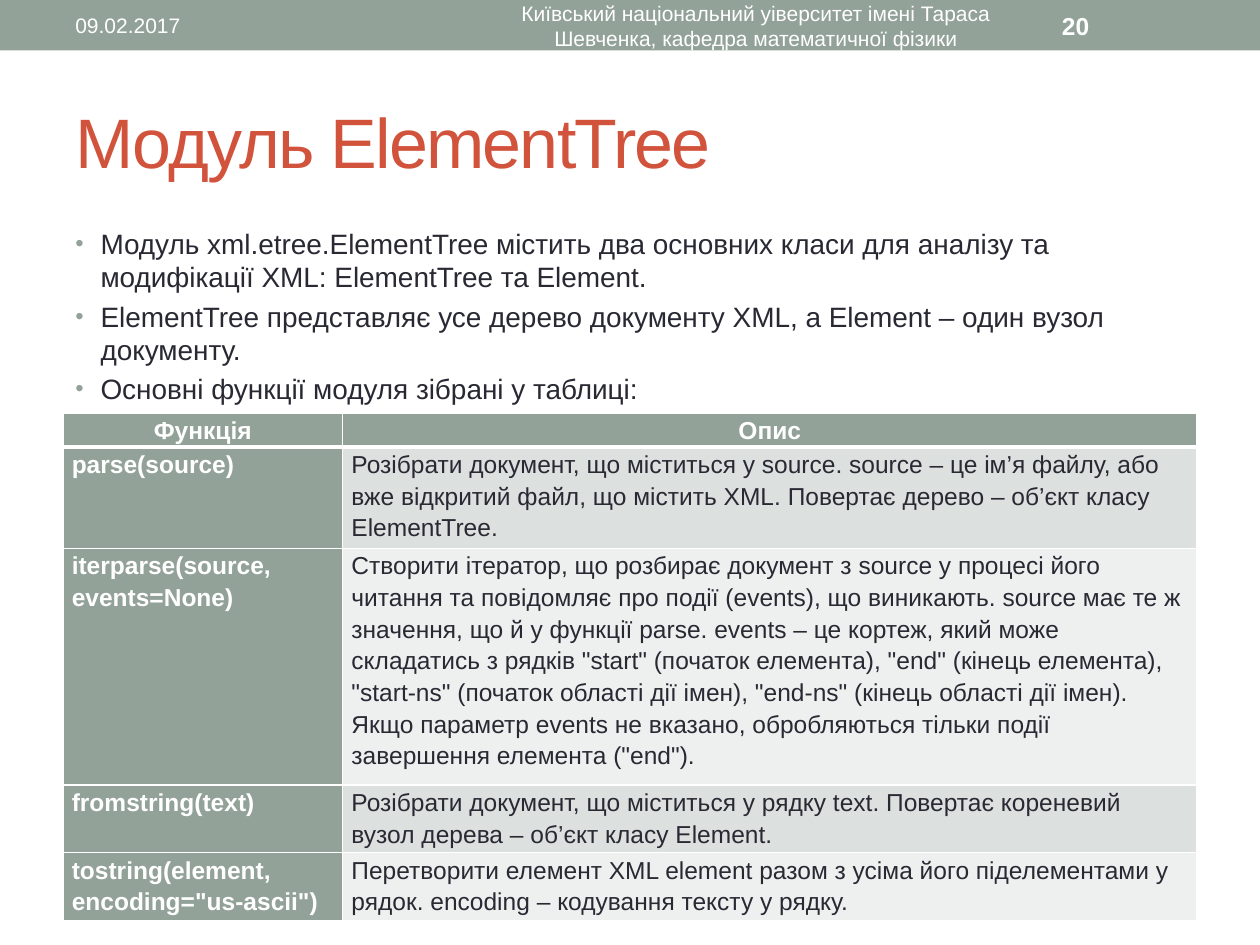
from dataclasses import dataclass

from lxml import etree
from pptx import Presentation
from pptx import util as u
from pptx.dml.color import RGBColor
from pptx.enum import shapes, text
from pptx.oxml.ns import qn

SAGE = RGBColor(0x93, 0xA2, 0x99)
RUST = RGBColor(0xD2, 0x53, 0x3C)
INK = RGBColor(0x29, 0x29, 0x34)
WHITE = RGBColor(0xFF, 0xFF, 0xFF)
BANDS = RGBColor(0xDC, 0xE0, 0xDE), RGBColor(0xEE, 0xF0, 0xEF)
FONT = "Arial"
WIDTH, HEIGHT = u.Inches(10), u.Inches(7.5)
MARGIN = 0.05  # share of the slide width
LEFT, CENTER = text.PP_ALIGN.LEFT, text.PP_ALIGN.CENTER


@dataclass
class Label:
    """A text line; left and width are shares of the slide width, top and height of its height."""
    words: str
    left: float
    top: float
    width: float
    height: float
    size: float
    color: RGBColor = WHITE
    bold: bool = False
    align: text.PP_ALIGN = LEFT
    tracking: int = 0  # hundredths of a point


@dataclass
class Function:
    signature: str
    description: str
    height: float  # inches


BAR_TOP, BAR_TEXT = 0.003, 0.048
LABELS = [
    Label("Модуль ElementTree", MARGIN, 0.077, 0.9, 0.144, 40, RUST, tracking=-100),
    Label("09.02.2017", MARGIN, BAR_TOP, 0.317, BAR_TEXT, 12),
    Label("Київський національний уіверситет імені Тараса Шевченка, "
          "кафедра математичної фізики",
          0.375, BAR_TOP, 0.45, BAR_TEXT, 12, align=CENTER),
    Label("20", 0.833, BAR_TOP, 0.117, BAR_TEXT, 14, bold=True),
]
BULLETS = [
    "Модуль xml.etree.ElementTree містить два основних класи для аналізу та "
    "модифікації XML: ElementTree та Element.",
    "ElementTree представляє усе дерево документу XML, а Element – один вузол документу.",
    "Основні функції модуля зібрані у таблиці:",
]
HEADER = Function("Функція", "Опис", 0.25)
FUNCTIONS = [
    Function("parse(source)",
             "Розібрати документ, що міститься у source. source – це ім’я файлу, або вже "
             "відкритий файл, що містить XML. Повертає дерево – об’єкт класу ElementTree.",
             0.74),
    Function("iterparse(source, events=None)",
             "Створити ітератор, що розбирає документ з source у процесі його читання та "
             "повідомляє про події (events), що виникають. source має те ж значення, що й у "
             "функції parse. events – це кортеж, який може складатись з рядків \"start\" "
             "(початок елемента), \"end\" (кінець елемента), \"start-ns\" (початок області "
             "дії імен), \"end-ns\" (кінець області дії імен). Якщо параметр events не "
             "вказано, обробляються тільки події завершення елемента (\"end\").",
             1.74),
    Function("fromstring(text)",
             "Розібрати документ, що міститься у рядку text. Повертає кореневий вузол "
             "дерева – об’єкт класу Element.",
             0.5),
    Function("tostring(element, encoding=\"us-ascii\")",
             "Перетворити елемент XML element разом з усіма його піделементами у рядок. "
             "encoding – кодування тексту у рядку.",
             0.5),
]


def add_run(p, words: str, size: float, color: RGBColor, bold: bool = False):
    r = p.add_run()
    r.text = words
    r.font.name, r.font.size, r.font.bold = FONT, u.Pt(size), bold
    r.font.color.rgb = color
    return r


def add_text_frame(s, left: float, top: float, width: float, height: float):
    box = s.shapes.add_textbox(int(WIDTH * left), int(HEIGHT * top),
                               int(WIDTH * width), int(HEIGHT * height))
    box.text_frame.word_wrap = True
    return box.text_frame


def add_bar(s) -> None:
    sp = s.shapes.add_shape(shapes.MSO_SHAPE.RECTANGLE, 0, 0, WIDTH, u.Inches(0.4))
    sp.shadow.inherit = False
    sp.fill.solid()
    sp.fill.fore_color.rgb = SAGE
    sp.line.fill.background()


def add_label(s, label: Label) -> None:
    tf = add_text_frame(s, label.left, label.top, label.width, label.height)
    tf.vertical_anchor = text.MSO_ANCHOR.MIDDLE
    p = tf.paragraphs[0]
    p.alignment = label.align
    r = add_run(p, label.words, label.size, label.color, label.bold)
    if label.tracking:
        r.font._element.set("spc", str(label.tracking))


def set_bullet(p) -> None:
    pPr = p._p.get_or_add_pPr()
    pPr.set("marL", str(u.Inches(0.2)))
    pPr.set("indent", str(-u.Inches(0.2)))
    color = etree.SubElement(pPr, qn("a:buClr"))
    etree.SubElement(color, qn("a:srgbClr"), val=str(SAGE))
    etree.SubElement(pPr, qn("a:buSzPct"), val="85000")
    etree.SubElement(pPr, qn("a:buFont"), typeface=FONT)
    etree.SubElement(pPr, qn("a:buChar"), char="•")


def add_bullets(s) -> None:
    tf = add_text_frame(s, MARGIN, 0.233, 0.9, 0.711)
    for i, words in enumerate(BULLETS):
        p = tf.add_paragraph() if i else tf.paragraphs[0]
        set_bullet(p)
        if i:
            p.space_before = u.Pt(3.2)
        add_run(p, words, 16, INK)


def set_borders(cell, bottom: float) -> None:
    """White lines of 1 pt, except the bottom one; they must precede the fill."""
    tcPr = cell._tc.get_or_add_tcPr()
    for side, points in (("L", 1), ("R", 1), ("T", 1), ("B", bottom)):
        ln = etree.SubElement(tcPr, qn(f"a:ln{side}"), w=str(u.Pt(points)))
        fill = etree.SubElement(ln, qn("a:solidFill"))
        etree.SubElement(fill, qn("a:srgbClr"), val=str(WHITE))


def fill_cell(cell, words: str, fill: RGBColor, header: bool) -> None:
    strong = fill == SAGE
    set_borders(cell, 3 if header else 1)
    cell.fill.solid()
    cell.fill.fore_color.rgb = fill
    cell.margin_left = cell.margin_right = u.Inches(0.07)
    cell.margin_top = cell.margin_bottom = 0
    p = cell.text_frame.paragraphs[0]
    p.alignment = CENTER if header else LEFT
    p.line_spacing = 1.15
    add_run(p, words, 14, WHITE if strong else INK, strong)


def add_function_table(s) -> None:
    rows = [HEADER, *FUNCTIONS]
    height = u.Inches(sum(row.height for row in rows))
    table = s.shapes.add_table(len(rows), 2, int(WIDTH * MARGIN), u.Inches(3.28),
                               int(WIDTH * 0.9), height).table
    table.columns[0].width, table.columns[1].width = u.Inches(2.22), u.Inches(6.78)
    for i, row in enumerate(rows):
        table.rows[i].height = u.Inches(row.height)
        header = i == 0
        fill_cell(table.cell(i, 0), row.signature, SAGE, header)
        fill_cell(table.cell(i, 1), row.description,
                  SAGE if header else BANDS[(i - 1) % 2], header)


def main() -> None:
    prs = Presentation()
    prs.slide_width, prs.slide_height = WIDTH, HEIGHT
    s = prs.slides.add_slide(prs.slide_layouts[6])
    add_bar(s)
    for label in LABELS:
        add_label(s, label)
    add_bullets(s)
    add_function_table(s)
    prs.save("out.pptx")


if __name__ == "__main__":
    main()
